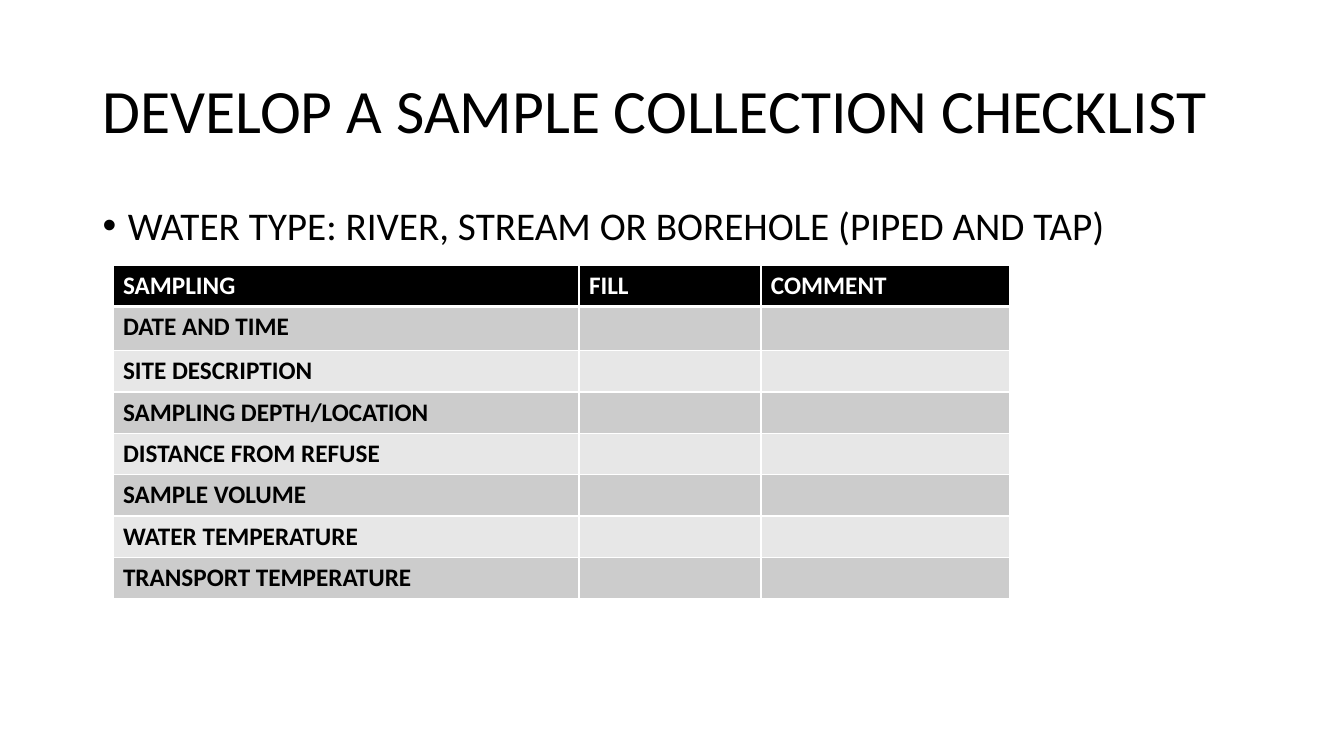
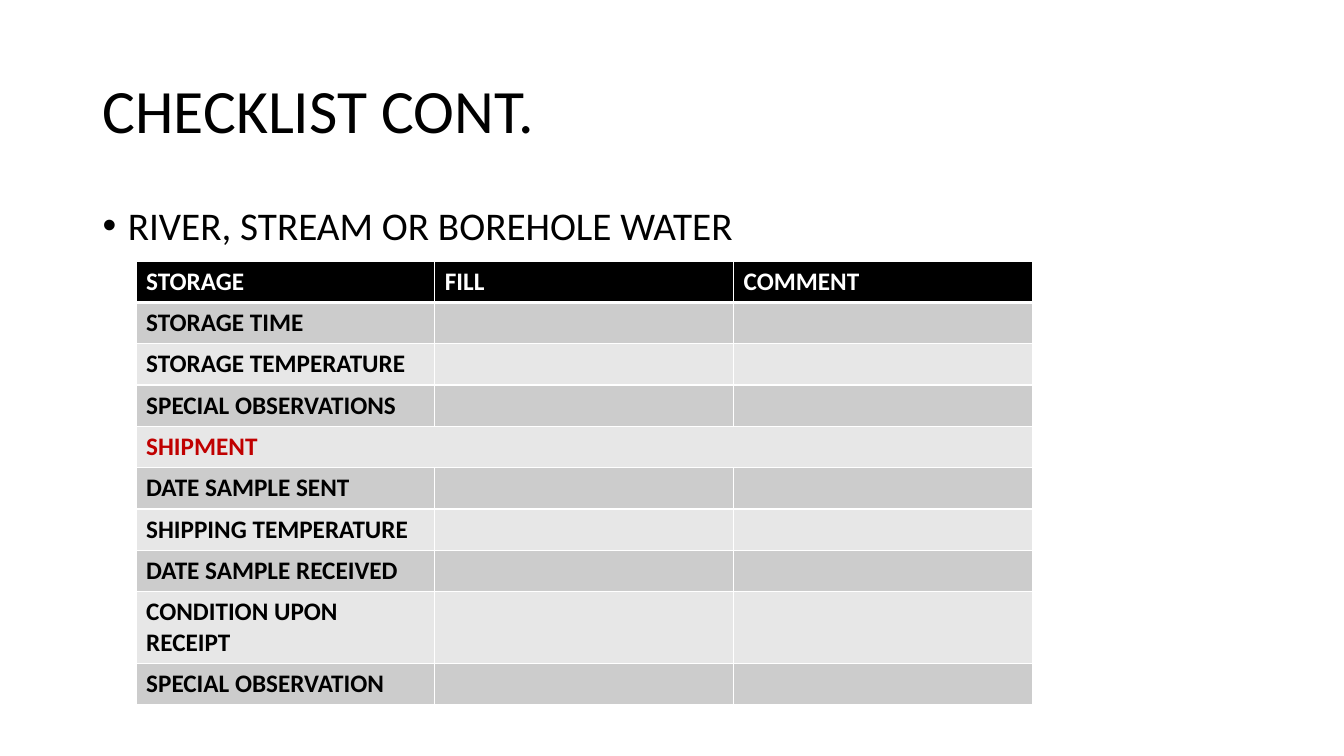
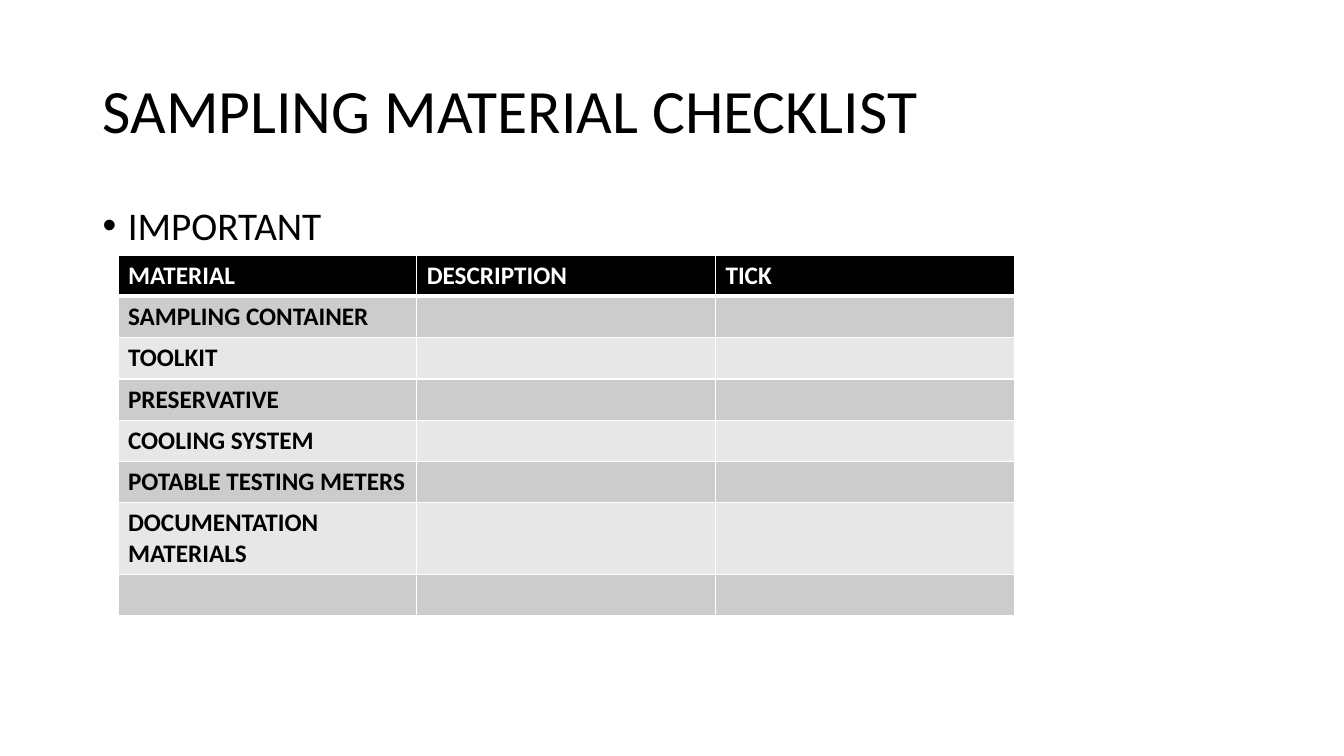
from dataclasses import dataclass

from pptx import Presentation
from pptx.dml.color import RGBColor
from pptx.enum.text import MSO_ANCHOR
from pptx.oxml.ns import qn
from pptx.util import Inches, Pt
from lxml import etree

MIDDLE, TOP = MSO_ANCHOR.MIDDLE, MSO_ANCHOR.TOP


@dataclass(frozen=True)
class Theme:
    font: str = "Calibri"
    ink: str = "000000"
    paper: str = "FFFFFF"
    accent: str = "C00000"
    bands: tuple = ("CCCCCC", "E7E7E7")
    title_size: int = 44
    body_size: int = 28
    cell_size: int = 18
    thin: int = 1
    thick: int = 3


theme = Theme()

# Shared grid, in inches
LEFT, WIDTH = 0.92, 11.5
TITLE_TOP, TITLE_HEIGHT = 0.4, 1.45
BODY_TOP, BODY_HEIGHT = 2, 4.76
INDENT = Inches(0.25)
TABLE_WIDTH, ROW_HEIGHT = 8.89, 0.41
THIRDS = (1 / 3, 1 / 3, 1 / 3)

# Each checklist: column shares, exceptional row heights, header and row labels
checklists = [
    dict(title="DEVELOP A SAMPLE COLLECTION CHECKLIST",
         point="WATER TYPE: RIVER, STREAM OR BOREHOLE (PIPED AND TAP)",
         at=(1.12, 2.63), shares=(0.52, 0.203, 0.277), tall={1: 0.44},
         header=("SAMPLING", "FILL", "COMMENT"),
         labels=("DATE AND TIME", "SITE DESCRIPTION", "SAMPLING DEPTH/LOCATION",
                 "DISTANCE FROM REFUSE", "SAMPLE VOLUME", "WATER TEMPERATURE",
                 "TRANSPORT TEMPERATURE")),
    dict(title="CHECKLIST CONT.",
         point="RIVER, STREAM OR BOREHOLE WATER",
         at=(1.35, 2.59), shares=THIRDS, tall={8: 0.71},
         header=("STORAGE", "FILL", "COMMENT"),
         labels=("STORAGE TIME", "STORAGE TEMPERATURE", "SPECIAL OBSERVATIONS",
                 "SHIPMENT", "DATE SAMPLE SENT", "SHIPPING TEMPERATURE",
                 "DATE SAMPLE RECEIVED", "CONDITION UPON RECEIPT",
                 "SPECIAL OBSERVATION")),
    dict(title="SAMPLING MATERIAL CHECKLIST",
         point="IMPORTANT",
         at=(1.17, 2.53), shares=THIRDS, tall={6: 0.71},
         header=("MATERIAL", "DESCRIPTION", "TICK"),
         labels=("SAMPLING CONTAINER", "TOOLKIT", "PRESERVATIVE", "COOLING SYSTEM",
                 "POTABLE TESTING METERS", "DOCUMENTATION MATERIALS", "")),
]
SECTION_LABELS = {"SHIPMENT"}


def write(frame, text, size, color, bold=False):
    """Set one paragraph of styled text and return it."""
    frame.text = text
    para = frame.paragraphs[0]
    for span in para.runs:
        span.font.name = theme.font
        span.font.size = Pt(size)
        span.font.bold = bold
        span.font.color.rgb = RGBColor.from_string(color)
    return para


def style_cell(cell, fill, top, bottom):
    """Give a cell its borders, then its fill."""
    properties = cell._tc.get_or_add_tcPr()
    for side, width in (("L", theme.thin), ("R", theme.thin), ("T", top), ("B", bottom)):
        line = etree.SubElement(properties, qn(f"a:ln{side}"), w=str(Pt(width)))
        solid = etree.SubElement(line, qn("a:solidFill"))
        etree.SubElement(solid, qn("a:srgbClr"), val=theme.paper)
    cell.fill.solid()
    cell.fill.fore_color.rgb = RGBColor.from_string(fill)


deck = Presentation()
deck.slide_width, deck.slide_height = Inches(13.33), Inches(7.5)
blank = deck.slide_layouts[6]

for checklist in checklists:
    page = deck.slides.add_slide(blank)

    # Title and lead point
    for text, top, height, size, anchor in (
        (checklist["title"], TITLE_TOP, TITLE_HEIGHT, theme.title_size, MIDDLE),
        (checklist["point"], BODY_TOP, BODY_HEIGHT, theme.body_size, TOP),
    ):
        box = page.shapes.add_textbox(Inches(LEFT), Inches(top), Inches(WIDTH), Inches(height))
        box.text_frame.word_wrap = True
        box.text_frame.vertical_anchor = anchor
        para = write(box.text_frame, text, size, theme.ink)
        para.line_spacing = 0.9

    # The lead point is the last paragraph written
    para.space_before = Pt(10)
    bullet = para._p.get_or_add_pPr()
    bullet.set("marL", str(INDENT))
    bullet.set("indent", str(-INDENT))
    etree.SubElement(bullet, qn("a:buFont"), typeface="Arial")
    etree.SubElement(bullet, qn("a:buChar"), char="•")

    # Table grid
    columns = len(checklist["header"])
    rows = [checklist["header"]]
    rows += [(label,) + ("",) * (columns - 1) for label in checklist["labels"]]
    heights = [checklist["tall"].get(index, ROW_HEIGHT) for index in range(len(rows))]
    left, top = checklist["at"]
    table = page.shapes.add_table(len(rows), columns, Inches(left), Inches(top),
                                  Inches(TABLE_WIDTH), Inches(sum(heights))).table
    table.horz_banding = False
    for column, share in zip(table.columns, checklist["shares"]):
        column.width = Inches(TABLE_WIDTH * share)

    # Table cells
    for index, (row, texts) in enumerate(zip(table.rows, rows)):
        row.height = Inches(heights[index])
        is_header, is_section = index == 0, texts[0] in SECTION_LABELS
        fill = theme.ink if is_header else theme.bands[(index - 1) % 2]
        color = theme.paper if is_header else theme.accent if is_section else theme.ink
        for cell, text in zip(row.cells, texts):
            style_cell(cell, fill, theme.thick if index == 1 else theme.thin,
                       theme.thick if is_header else theme.thin)
            write(cell.text_frame, text, theme.cell_size, color, bold=True)
        if is_section:
            table.cell(index, 0).merge(table.cell(index, columns - 1))

deck.save("out.pptx")
